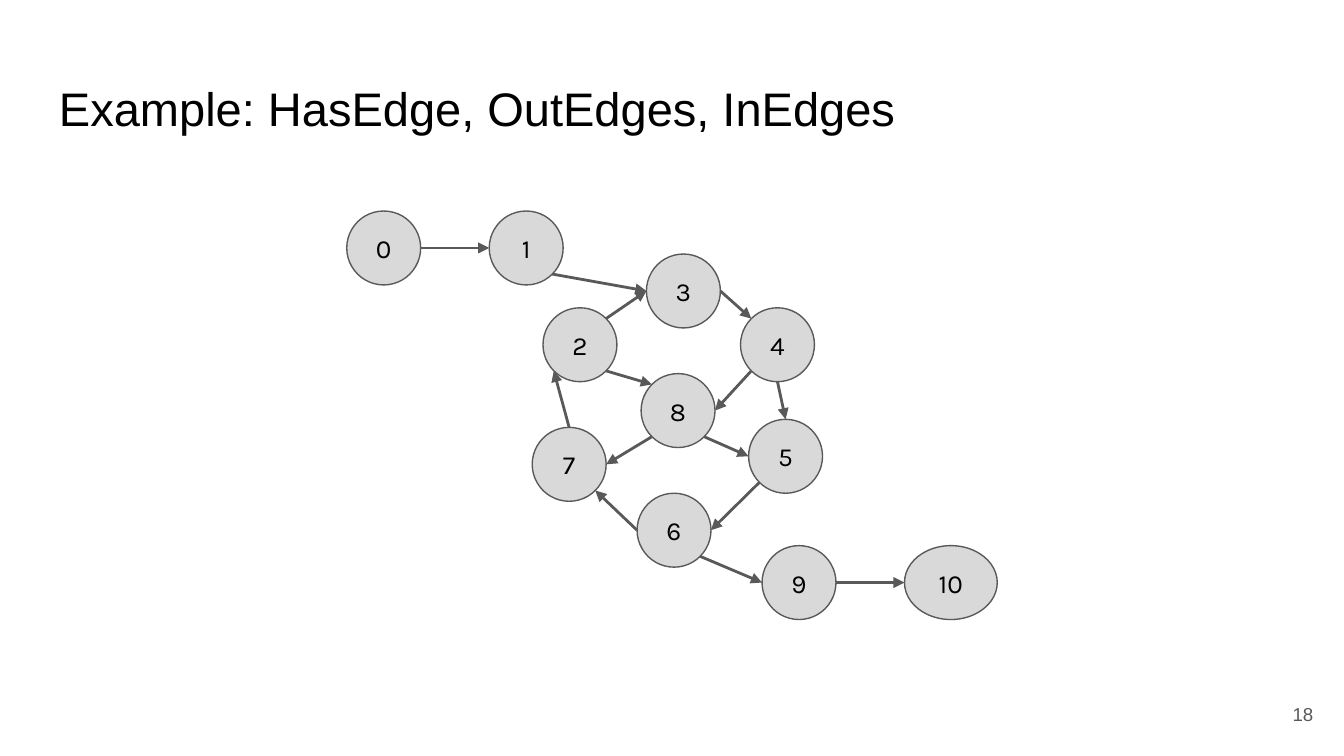
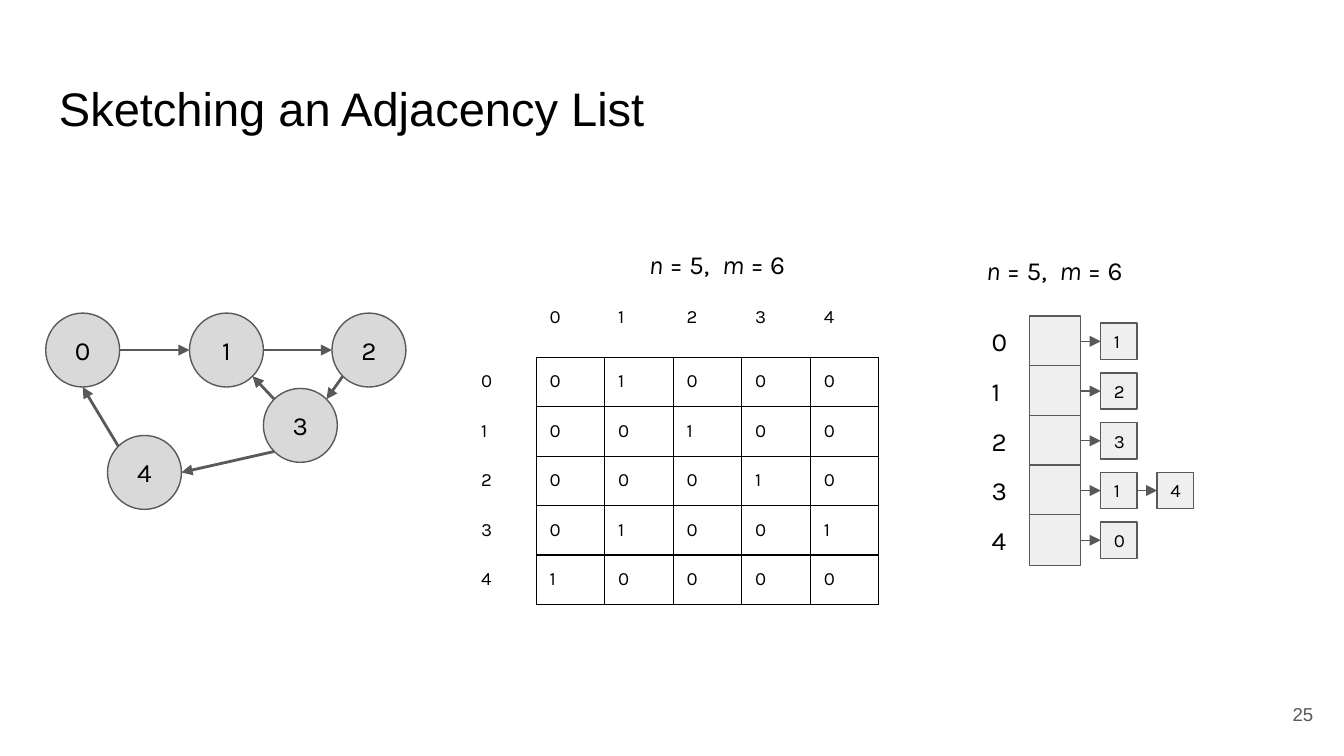
from math import sqrt

from lxml import etree
from pptx import Presentation
from pptx import util as u
from pptx.dml.color import RGBColor
from pptx.enum import shapes as sh, text as tx
from pptx.oxml import ns

BLACK, GRAY, DISC, CELL = "000000", "595959", "D9D9D9", "EFEFEF"
HEAD, BODY = "Arial", "Karla"
LEFT, MID, RIGHT = tx.PP_ALIGN.LEFT, tx.PP_ALIGN.CENTER, tx.PP_ALIGN.RIGHT
TOP, HALF = tx.MSO_ANCHOR.TOP, tx.MSO_ANCHOR.MIDDLE
OVAL, RECT = sh.MSO_SHAPE.OVAL, sh.MSO_SHAPE.RECTANGLE
WIDE, HIGH = 10, 10 * 9 / 16
NODE = 0.55


def color(code):
    return RGBColor.from_string(code)


def inches(*sizes):
    return [u.Inches(size) for size in sizes]


def child(parent, tag, **attrs):
    return etree.SubElement(parent, ns.qn(tag), attrs)


# Text
def style(para, size, font=BODY, ink=BLACK, align=LEFT):
    para.alignment = align
    for run in para.runs:
        run.font.size = u.Pt(size)
        run.font.name = font
        run.font.color.rgb = color(ink)


def inset(frame, anchor):
    frame.word_wrap = True
    frame.vertical_anchor = anchor
    frame.margin_left = frame.margin_right = u.Inches(0.1)
    frame.margin_top = frame.margin_bottom = u.Inches(0.1)


def label(slide, box, text, size, anchor=HALF, **look):
    frame = slide.shapes.add_textbox(*inches(*box)).text_frame
    inset(frame, anchor)
    frame.text = text
    style(frame.paragraphs[0], size, **look)


def counts(slide, box):
    frame = slide.shapes.add_textbox(*inches(*box)).text_frame
    inset(frame, TOP)
    para = frame.paragraphs[0]
    for part in ("n", " = 5,  ", "m", " = 6"):
        run = para.add_run()
        run.text = part
        run.font.italic = part in "nm"
    style(para, 14, align=MID)


# Shapes and arrows
def block(parent, kind, box, fill, text="", size=10, align=LEFT):
    shape = parent.shapes.add_shape(kind, *inches(*box))
    shape.shadow.inherit = False
    shape.fill.solid()
    shape.fill.fore_color.rgb = color(fill)
    shape.line.color.rgb = color(GRAY)
    shape.line.width = u.Pt(0.75)
    inset(shape.text_frame, HALF)
    if text:
        shape.text_frame.text = text
        style(shape.text_frame.paragraphs[0], size, align=align)
    return shape


def arrow(parent, start, end, width):
    line = parent.shapes.add_connector(
        sh.MSO_CONNECTOR.STRAIGHT, *inches(*start, *end))
    line.line.color.rgb = color(GRAY)
    line.line.width = u.Pt(width)
    child(line.line._get_or_add_ln(), "a:tailEnd", type="triangle")
    child(line._element.spPr, "a:effectLst")
    return line


def link(slide, first, second):
    line = arrow(slide, (0, 0), (0, 0), 0.75)
    line.begin_connect(first, 3)
    line.end_connect(second, 1)


# Graph: nodes are (x, y, width) in the box, edges run between compass sites
def rim(node, site):
    x, y, wide = node
    across = ("e" in site) - ("w" in site)
    down = ("s" in site) - ("n" in site)
    reach = 0.5 / sqrt(len(site))
    return x + wide * (0.5 + reach * across), y + NODE * (0.5 + reach * down)


def graph(slide, left, top, spots, edges):
    group = slide.shapes.add_group_shape()
    nodes = {}
    for name, (x, y, *wide) in spots.items():
        nodes[name] = (left + x, top + y, wide[0] if wide else NODE)
        x, y, wide = nodes[name]
        block(group, OVAL, (x, y, wide, NODE), DISC, str(name), 14, MID)
    for tail, out, head, into in edges:
        arrow(group, rim(nodes[tail], out), rim(nodes[head], into), 1.5)


# Matrix
def border(cell, sides):
    props = cell._tc.get_or_add_tcPr()
    for side in "LRTB":
        edge = child(props, f"a:ln{side}", w=str(u.Pt(0.75)))
        if side in sides:
            child(child(edge, "a:solidFill"), "a:srgbClr", val=BLACK)
        else:
            child(edge, "a:noFill")


def matrix(slide, left, top, links):
    count = len(links)
    wide, high, first = 0.51, 0.36, 0.48
    table = slide.shapes.add_table(
        count + 1, count + 1,
        *inches(left, top, wide * (count + 1), first + high * count)).table
    table.first_row = table.horz_banding = False
    for col in table.columns:
        col.width = u.Inches(wide)
    for row, line in enumerate(table.rows):
        line.height = u.Inches(high if row else first)
        for col, cell in enumerate(line.cells):
            if row and col:
                text, sides = str(int(col - 1 in links[row - 1])), "LRTB"
            elif row or col:
                text, sides = str(row + col - 1), "R" if row else "B"
            else:
                text, sides = "", ""
            border(cell, sides)
            cell.fill.background()
            pad = u.Inches(0.1 if text else 0)
            cell.margin_left = cell.margin_right = pad
            cell.margin_top = cell.margin_bottom = pad
            if text:
                cell.text_frame.text = text
                style(cell.text_frame.paragraphs[0], 10)


# Adjacency list
def chains(slide, left, top, links):
    side, pitch, small, step = 0.38, 0.37, 0.27, 0.42
    for row, heads in enumerate(links):
        y = top + row * pitch
        label(slide, (left, y, side, side), str(row), 14)
        last = block(slide, RECT, (left + side, y, side, side), CELL)
        for spot, head in enumerate(heads):
            x = left + 2 * side + 0.15 + spot * step
            box = (x, y + (side - small) / 2, small, small)
            item = block(slide, RECT, box, CELL, str(head))
            link(slide, last, item)
            last = item


# Slides
def page(deck, title, number):
    slide = deck.slides.add_slide(deck.slide_layouts[6])
    label(slide, (0.34, 0.49, 9.32, 0.63), title, 25.2, TOP, font=HEAD)
    label(slide, (9.27, 5.1, 0.6, 0.43), number, 10,
          font=HEAD, ink=GRAY, align=RIGHT)
    return slide


def example(deck):
    slide = page(deck, "Example: HasEdge, OutEdges, InEdges", "18")
    spots = {
        0: (0, 0), 1: (1.06, 0), 2: (1.46, 0.72), 3: (2.23, 0.32),
        4: (2.93, 0.72), 5: (2.99, 1.55), 6: (2.16, 2.1), 7: (1.38, 1.61),
        8: (2.19, 1.21), 9: (3.09, 2.49), 10: (4.15, 2.49, 0.69),
    }
    edges = [
        (0, "e", 1, "w"), (1, "se", 3, "w"), (2, "ne", 3, "w"),
        (2, "se", 8, "nw"), (3, "e", 4, "nw"), (4, "s", 5, "n"),
        (4, "sw", 8, "e"), (5, "sw", 6, "e"), (6, "w", 7, "se"),
        (6, "se", 9, "w"), (7, "n", 2, "sw"), (8, "sw", 7, "e"),
        (8, "se", 5, "w"), (9, "e", 10, "w"),
    ]
    graph(slide, 2.58, 1.57, spots, edges)


def sketch(deck):
    slide = page(deck, "Sketching an Adjacency List", "25")
    spots = {0: (0, 0), 1: (1.07, 0), 2: (2.13, 0),
             3: (1.62, 0.56), 4: (0.46, 0.91)}
    edges = [
        (0, "e", 1, "w"), (1, "e", 2, "w"), (2, "sw", 3, "ne"),
        (3, "nw", 1, "se"), (3, "sw", 4, "e"), (4, "nw", 0, "s"),
    ]
    links = [[head for tail, _, head, _ in edges if tail == name]
             for name in sorted(spots)]
    graph(slide, 0.34, 2.33, spots, edges)
    matrix(slide, 3.48, 2.18, links)
    counts(slide, (4.59, 1.75, 1.49, 0.43))
    chains(slide, 7.28, 2.35, links)
    counts(slide, (7.1, 1.79, 1.49, 0.43))


def main():
    deck = Presentation()
    deck.slide_width, deck.slide_height = inches(WIDE, HIGH)
    example(deck)
    sketch(deck)
    deck.save("out.pptx")


if __name__ == "__main__":
    main()
